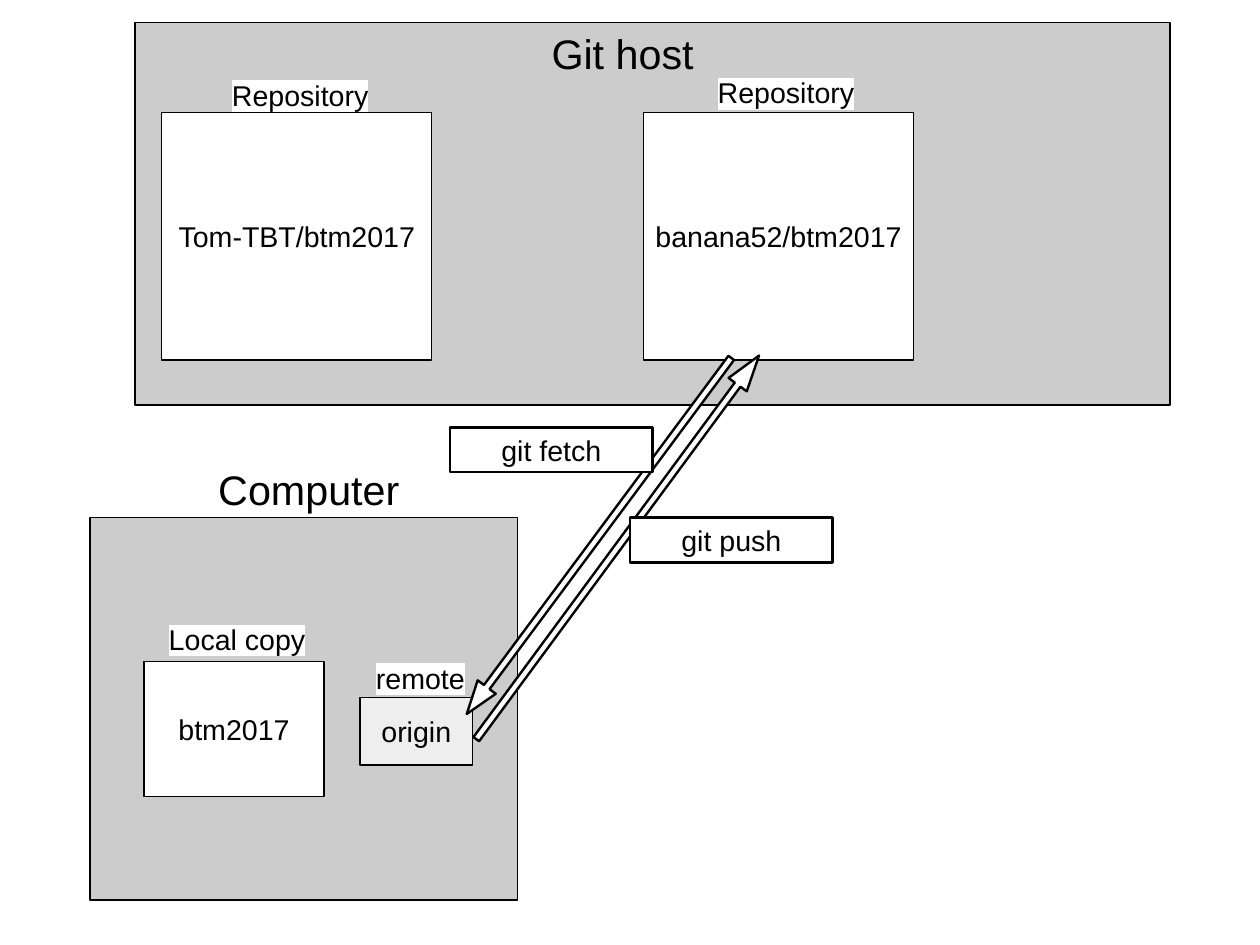
from dataclasses import dataclass

from lxml.etree import Element
from pptx import Presentation
from pptx.dml.color import RGBColor
from pptx.enum.shapes import MSO_SHAPE
from pptx.enum.text import MSO_ANCHOR as Anchor, MSO_AUTO_SIZE as AutoSize, PP_ALIGN as Align
from pptx.oxml.ns import qn
from pptx.shapes.autoshape import Shape
from pptx.slide import Slide
from pptx.text.text import TextFrame
from pptx.util import Pt

BLACK, WHITE, GREY, PALE = "000000", "FFFFFF", "CCCCCC", "EEEEEE"
HEADING_SIZE, BODY_SIZE = 26, 18
HEADING_WIDTH, HEADING_HEIGHT = 156, 36
LABEL_WIDTH, LABEL_HEIGHT = 127.6, 27.6
ARROW_HEIGHT = 14.2


@dataclass
class Box:
    left: float
    top: float
    width: float
    height: float
    text: str = ""
    fill: str = WHITE
    line_width: float = 0


@dataclass
class Label:
    left: float
    top: float
    text: str


@dataclass
class Arrow:
    left: float
    top: float
    length: float
    rotation: float
    head: float


HUB = Box(85, 14.2, 652, 241, fill=GREY)
COMPUTER = Box(56.7, 326, 269.3, 241, fill=GREY)
HUB_HEADING = Label(340.2, 14.2, "Git host")
COMPUTER_HEADING = Label(130.4, 289.2, "Computer")

REPOSITORIES = [
    Box(102, 70.9, 170, 155.9, "Tom-TBT/btm2017"),
    Box(405.4, 70.9, 170, 155.9, "banana52/btm2017"),
    Box(90.7, 416.7, 113.4, 85, "btm2017"),
    Box(226.8, 439.4, 70.9, 42.5, "origin", PALE),
]
LABELS = [
    Label(139, 45.4, "Repository"),
    Label(445, 43.9, "Repository"),
    Label(99.2, 388.2, "Local copy"),
    Label(229.7, 412.6, "remote"),
]
ARROWS = [
    Arrow(237.6, 330.5, 279.4, 126.6, 1.486),
    Arrow(239, 337.7, 300.2, 306.4, 1.599),
]
COMMANDS = [
    Box(283.5, 269.3, 127.6, 28.3, "git fetch", line_width=1.5),
    Box(396.9, 326, 127.6, 28.3, "git push", line_width=1.5),
]


def color(value: str) -> RGBColor:
    return RGBColor.from_string(value)


def write(frame: TextFrame, text: str, size: float, align: Align, highlight: str = "") -> None:
    frame.margin_left = frame.margin_right = Pt(7.2)
    frame.margin_top = frame.margin_bottom = Pt(3.6)
    paragraph = frame.paragraphs[0]
    paragraph.alignment = align
    run = paragraph.add_run()
    run.text = text
    run.font.size = Pt(size)
    run.font.name = "Arial"
    run.font.color.rgb = color(BLACK)
    if highlight:
        marker = Element(qn("a:highlight"))
        marker.append(Element(qn("a:srgbClr"), val=highlight))
        run.font._element.find(qn("a:solidFill")).addnext(marker)


def paint(shape: Shape, fill: str, line_width: float) -> None:
    shape.shadow.inherit = False
    shape.fill.solid()
    shape.fill.fore_color.rgb = color(fill)
    shape.line.color.rgb = color(BLACK)
    shape.line.width = Pt(line_width)


def add_box(slide: Slide, box: Box) -> Shape:
    shape = slide.shapes.add_shape(
        MSO_SHAPE.RECTANGLE, Pt(box.left), Pt(box.top), Pt(box.width), Pt(box.height))
    paint(shape, box.fill, box.line_width)
    if box.text:
        frame = shape.text_frame
        frame.word_wrap = False
        frame.vertical_anchor = Anchor.MIDDLE
        write(frame, box.text, BODY_SIZE, Align.CENTER)
    return shape


def add_label(slide: Slide, label: Label, width: float, height: float,
              size: float, highlight: str = "") -> None:
    shape = slide.shapes.add_textbox(Pt(label.left), Pt(label.top), Pt(width), Pt(height))
    shape.text_frame.word_wrap = True
    write(shape.text_frame, label.text, size, Align.LEFT, highlight)


def add_arrow(slide: Slide, arrow: Arrow) -> None:
    shape = slide.shapes.add_shape(
        MSO_SHAPE.RIGHT_ARROW, Pt(arrow.left), Pt(arrow.top), Pt(arrow.length), Pt(ARROW_HEIGHT))
    shape.rotation = arrow.rotation
    shape.adjustments[0] = 0.313
    shape.adjustments[1] = arrow.head
    paint(shape, WHITE, 1.5)


def place_title(slide: Slide, label: Label, backdrop: Shape) -> None:
    """Move the title placeholder onto its backdrop, in front of it."""
    title = slide.shapes.title
    title.left, title.top = Pt(label.left), Pt(label.top)
    title.width, title.height = Pt(HEADING_WIDTH), Pt(HEADING_HEIGHT)
    frame = title.text_frame
    frame.word_wrap = True
    frame.auto_size = AutoSize.NONE
    frame.vertical_anchor = Anchor.TOP
    write(frame, label.text, HEADING_SIZE, Align.LEFT)
    backdrop.element.addnext(title.element)


def main() -> None:
    presentation = Presentation()
    presentation.slide_width = Pt(793.7)
    presentation.slide_height = Pt(595.3)
    slide = presentation.slides.add_slide(presentation.slide_layouts.get_by_name("Title Only"))

    place_title(slide, HUB_HEADING, add_box(slide, HUB))
    add_box(slide, COMPUTER)
    add_label(slide, COMPUTER_HEADING, HEADING_WIDTH, HEADING_HEIGHT, HEADING_SIZE)
    for repository in REPOSITORIES:
        add_box(slide, repository)
    for label in LABELS:
        add_label(slide, label, LABEL_WIDTH, LABEL_HEIGHT, BODY_SIZE, WHITE)
    for arrow in ARROWS:
        add_arrow(slide, arrow)
    for command in COMMANDS:
        add_box(slide, command)

    presentation.save("out.pptx")


if __name__ == "__main__":
    main()
